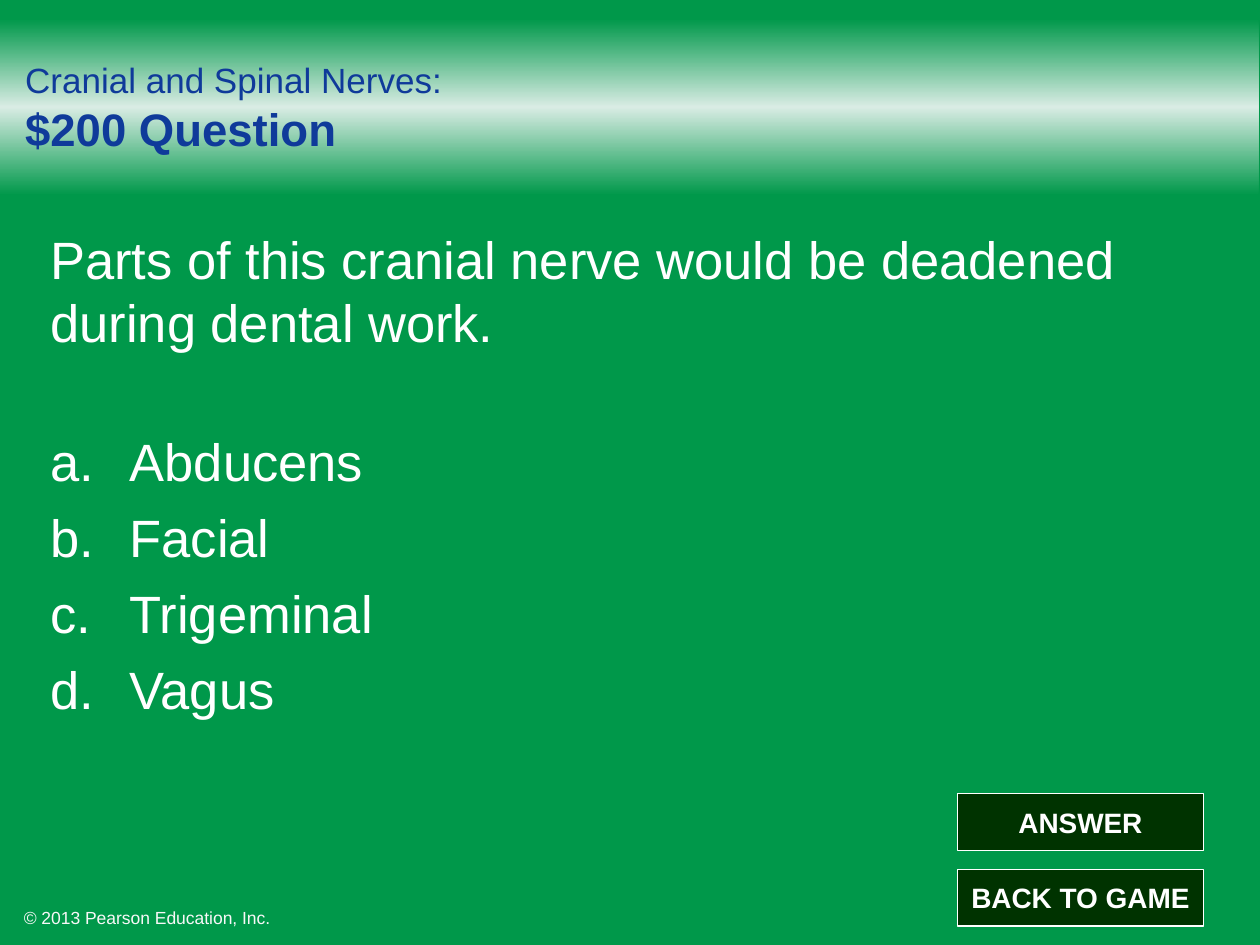
from dataclasses import dataclass

from lxml.etree import SubElement as Sub
from pptx import Presentation
from pptx.dml.color import RGBColor as Rgb
from pptx.enum.shapes import MSO_SHAPE as Kind
from pptx.enum.text import MSO_ANCHOR as Anchor, PP_ALIGN as Align
from pptx.oxml.ns import qn
from pptx.util import Pt

SCALE = 9144
GREEN = Rgb(0x00, 0x98, 0x4A)
PALE = Rgb(0xD9, 0xEC, 0xE4)
DARK = Rgb(0x00, 0x33, 0x00)
BLUE = Rgb(0x0F, 0x3A, 0x9A)
WHITE = Rgb(0xFF, 0xFF, 0xFF)
LIGHT = Rgb(0xF8, 0xF8, 0xF8)


@dataclass(frozen=True)
class Box:
    left: int
    top: int
    wide: int
    high: int

    def emu(self) -> list[int]:
        return [px(n) for n in (self.left, self.top, self.wide, self.high)]


@dataclass(frozen=True)
class Button:
    text: str
    top: int


def px(n: int) -> int:
    return n * SCALE


def frame(shape, anchor=Anchor.TOP, wrap=True, pad=(0, 0)):
    body = shape.text_frame
    body.word_wrap = wrap
    body.vertical_anchor = anchor
    body.margin_left = body.margin_right = px(pad[0])
    body.margin_top = body.margin_bottom = px(pad[1])
    return body


def write(para, text: str, *, size: int, color: Rgb, bold=False) -> None:
    run = para.add_run()
    run.text = text
    font = run.font
    font.name, font.size, font.bold = "Arial", Pt(size), bold
    font.color.rgb = color


def letter(para, indent: int) -> None:
    props = para._p.get_or_add_pPr()
    props.set("marL", str(px(indent)))
    props.set("indent", str(-px(indent)))
    tint = Sub(Sub(props, qn("a:buClr")), qn("a:srgbClr"))
    tint.set("val", str(WHITE))
    Sub(props, qn("a:buFont")).set("typeface", "Arial")
    Sub(props, qn("a:buAutoNum")).set("type", "alphaLcPeriod")


def plate(slide, box: Box):
    shape = slide.shapes.add_shape(Kind.RECTANGLE, *box.emu())
    shape.shadow.inherit = False
    return shape


def band(slide, box: Box) -> None:
    shape = plate(slide, box)
    shape.line.fill.background()
    shape.fill.gradient()
    shape.fill.gradient_angle = 270
    stops = shape.fill._fill._gradFill.find(qn("a:gsLst"))
    stops.clear()
    for place, color in ((0, GREEN), (50000, PALE), (100000, GREEN)):
        stop = Sub(stops, qn("a:gs"))
        stop.set("pos", str(place))
        Sub(stop, qn("a:srgbClr")).set("val", str(color))


def press(slide, button: Button) -> None:
    shape = plate(slide, Box(760, button.top, 195, 45))
    shape.fill.solid()
    shape.fill.fore_color.rgb = DARK
    shape.line.color.rgb = WHITE
    shape.line.width = Pt(0.75)
    para = frame(shape, Anchor.MIDDLE, wrap=False).paragraphs[0]
    para.alignment = Align.CENTER
    write(para, button.text, size=16, color=WHITE, bold=True)


def label(slide, box: Box, **style):
    return frame(slide.shapes.add_textbox(*box.emu()), **style)


def main() -> None:
    deck = Presentation()
    deck.slide_width, deck.slide_height = px(1000), px(750)
    slide = deck.slides.add_slide(deck.slide_layouts[6])
    slide.background.fill.solid()
    slide.background.fill.fore_color.rgb = GREEN

    band(slide, Box(0, 15, 999, 140))

    note = label(slide, Box(9, 715, 225, 27), pad=(10, 5))
    write(note.paragraphs[0], "© 2013 Pearson Education, Inc.", size=10, color=LIGHT)

    title = label(slide, Box(20, 45, 960, 80), anchor=Anchor.MIDDLE).paragraphs[0]
    write(title, "Cranial and Spinal Nerves:", size=20, color=BLUE)
    title.add_line_break()
    write(title, "$200 Question", size=26, color=BLUE, bold=True)

    body = label(slide, Box(40, 180, 920, 520))
    ask = "Parts of this cranial nerve would be deadened during dental work."
    write(body.paragraphs[0], ask, size=30, color=WHITE)
    for i, name in enumerate(("Abducens", "Facial", "Trigeminal", "Vagus")):
        para = body.add_paragraph()
        letter(para, 63)
        para.space_before = Pt(7.5 if i else 43.5)
        write(para, name, size=30, color=WHITE)

    for button in (Button("ANSWER", 630), Button("BACK TO GAME", 690)):
        press(slide, button)

    deck.save("out.pptx")


if __name__ == "__main__":
    main()
